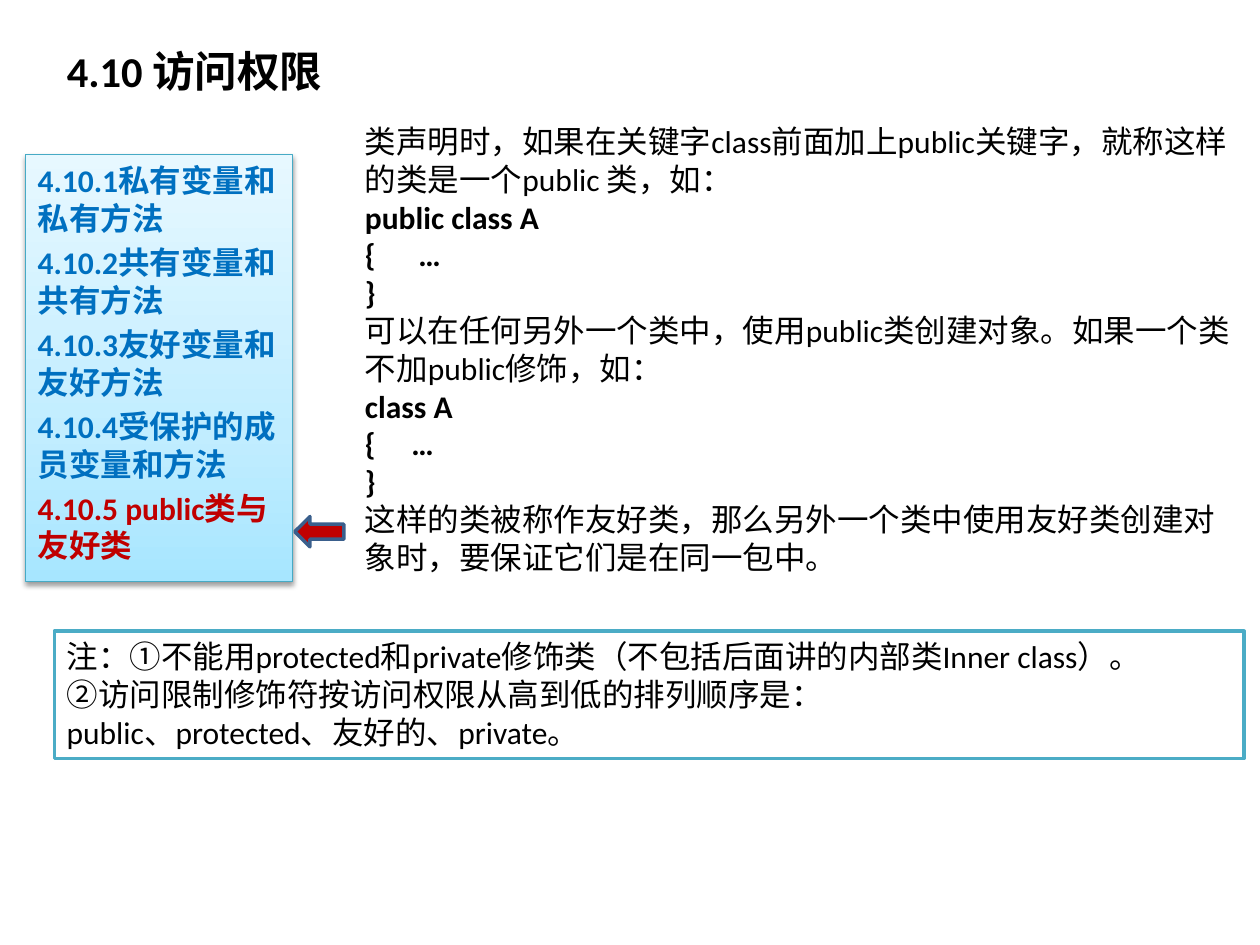
from copy import deepcopy

from lxml.etree import SubElement
from pptx import Presentation
from pptx.dml.color import RGBColor
from pptx.enum.shapes import MSO_SHAPE
from pptx.enum.text import MSO_ANCHOR, PP_ALIGN
from pptx.oxml.ns import qn
from pptx.util import Pt

BLACK = RGBColor(0x00, 0x00, 0x00)
WHITE = RGBColor(0xFF, 0xFF, 0xFF)
BLUE = RGBColor(0x00, 0x70, 0xC0)
RED = RGBColor(0xC0, 0x00, 0x00)
ARROW_LINE = RGBColor(0x3A, 0x5F, 0x8C)
NOTE_LINE = RGBColor(0x4B, 0xAC, 0xC6)
MENU_LINE = RGBColor(0x46, 0xAA, 0xC5)
MENU_STOPS = [
    (0, RGBColor(0xA7, 0xE6, 0xFF)),
    (0.35, RGBColor(0xC1, 0xED, 0xFF)),
    (1, RGBColor(0xE7, 0xF8, 0xFF)),
]

TITLE = "4.10 访问权限"
SECTIONS = [
    "4.10.1私有变量和私有方法",
    "4.10.2共有变量和共有方法",
    "4.10.3友好变量和友好方法",
    "4.10.4受保护的成员变量和方法",
    "4.10.5 public类与友好类",
]
CURRENT_SECTION = SECTIONS[-1]
EXPLANATION = [
    ("类声明时，如果在关键字class前面加上public关键字，就称这样的类是一个public 类，如：", False),
    ("public class A", True),
    ("{      …", True),
    ("}", True),
    ("可以在任何另外一个类中，使用public类创建对象。如果一个类不加public修饰，如：", False),
    ("class A", True),
    ("{     …", True),
    ("}", True),
    ("这样的类被称作友好类，那么另外一个类中使用友好类创建对象时，要保证它们是在同一包中。", False),
]
NOTES = [
    "注：①不能用protected和private修饰类（不包括后面讲的内部类Inner class）。",
    "②访问限制修饰符按访问权限从高到低的排列顺序是：",
    "public、protected、友好的、private。",
]


def box(left, top, width, height):
    return Pt(left), Pt(top), Pt(width), Pt(height)


def add_text(frame, text, size=18, color=BLACK, bold=False, space_before=0):
    first = not frame.text
    paragraph = frame.paragraphs[0] if first else frame.add_paragraph()
    paragraph.alignment = PP_ALIGN.LEFT
    paragraph.space_before = Pt(0 if first else space_before)
    run = paragraph.add_run()
    run.text = text
    run.font.name = "Calibri"
    run.font.size = Pt(size)
    run.font.bold = bold
    run.font.color.rgb = color


def prepare_frame(shape, anchor=MSO_ANCHOR.TOP):
    frame = shape.text_frame
    frame.word_wrap = True
    frame.vertical_anchor = anchor
    return frame


def add_outlined_shape(slide, kind, place, line_color, line_width, fill_color=None):
    shape = slide.shapes.add_shape(kind, *place)
    shape.shadow.inherit = False
    shape.line.color.rgb = line_color
    shape.line.width = Pt(line_width)
    if fill_color is not None:
        shape.fill.solid()
        shape.fill.fore_color.rgb = fill_color
    return shape


def fill_gradient(shape, stops, angle):
    shape.fill.gradient()
    shape.fill.gradient_angle = angle
    stop_list = shape.element.spPr.find(".//" + qn("a:gsLst"))
    while len(stop_list) < len(stops):
        stop_list.append(deepcopy(stop_list[0]))
    for stop, (position, color) in zip(shape.fill.gradient_stops, stops):
        stop.position = position
        stop.color.rgb = color


def add_shadow(shape, blur, distance, opacity):
    effects = shape.element.spPr.find(qn("a:effectLst"))
    shadow = SubElement(effects, qn("a:outerShdw"), blurRad=str(Pt(blur)),
                        dist=str(Pt(distance)), dir=str(90 * 60000), rotWithShape="0")
    color = SubElement(shadow, qn("a:srgbClr"), val=str(BLACK))
    SubElement(color, qn("a:alpha"), val=str(opacity * 1000))


def main():
    presentation = Presentation()
    presentation.slide_width, presentation.slide_height = Pt(720), Pt(540)
    slide = presentation.slides.add_slide(presentation.slide_layouts[5])

    title = slide.shapes.title
    title.left, title.top, title.width, title.height = box(31, 22, 233, 36)
    add_text(prepare_frame(title, MSO_ANCHOR.MIDDLE), TITLE, size=24.3, bold=True)

    menu = add_outlined_shape(slide, MSO_SHAPE.RECTANGLE, box(14.4, 88.5, 152.7, 244),
                              MENU_LINE, 0.75)
    fill_gradient(menu, MENU_STOPS, 90)
    add_shadow(menu, blur=3.1, distance=1.6, opacity=38)
    menu_frame = prepare_frame(menu)
    for section in SECTIONS:
        color = RED if section == CURRENT_SECTION else BLUE
        add_text(menu_frame, section, color=color, bold=True, space_before=3.6)

    explanation = slide.shapes.add_textbox(*box(201.5, 66.2, 510, 269))
    explanation_frame = prepare_frame(explanation)
    for text, is_code in EXPLANATION:
        add_text(explanation_frame, text, bold=is_code)

    add_outlined_shape(slide, MSO_SHAPE.LEFT_ARROW, box(168.5, 295.2, 28, 17.3),
                       ARROW_LINE, 2, RED)

    note = add_outlined_shape(slide, MSO_SHAPE.RECTANGLE, box(31, 360.7, 680, 72.7),
                              NOTE_LINE, 2, WHITE)
    note_frame = prepare_frame(note)
    for text in NOTES:
        add_text(note_frame, text)

    presentation.save("out.pptx")


if __name__ == "__main__":
    main()
